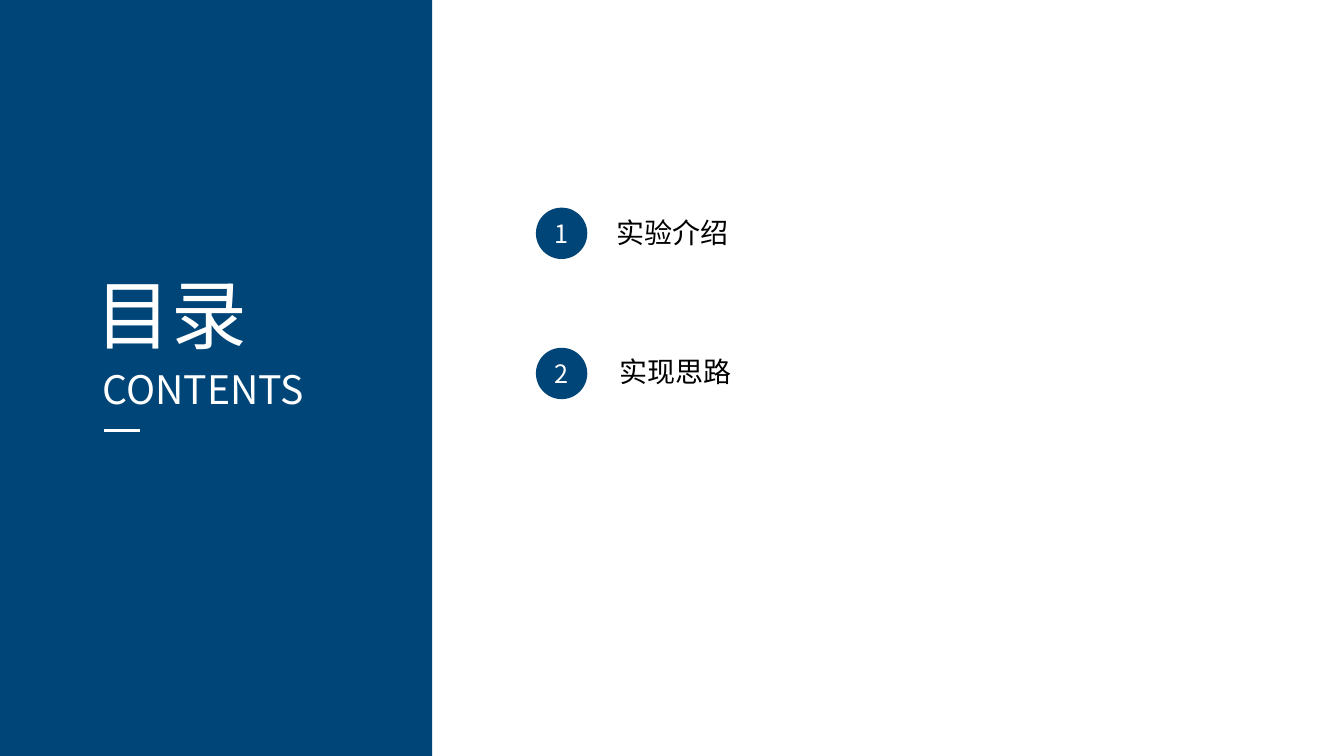
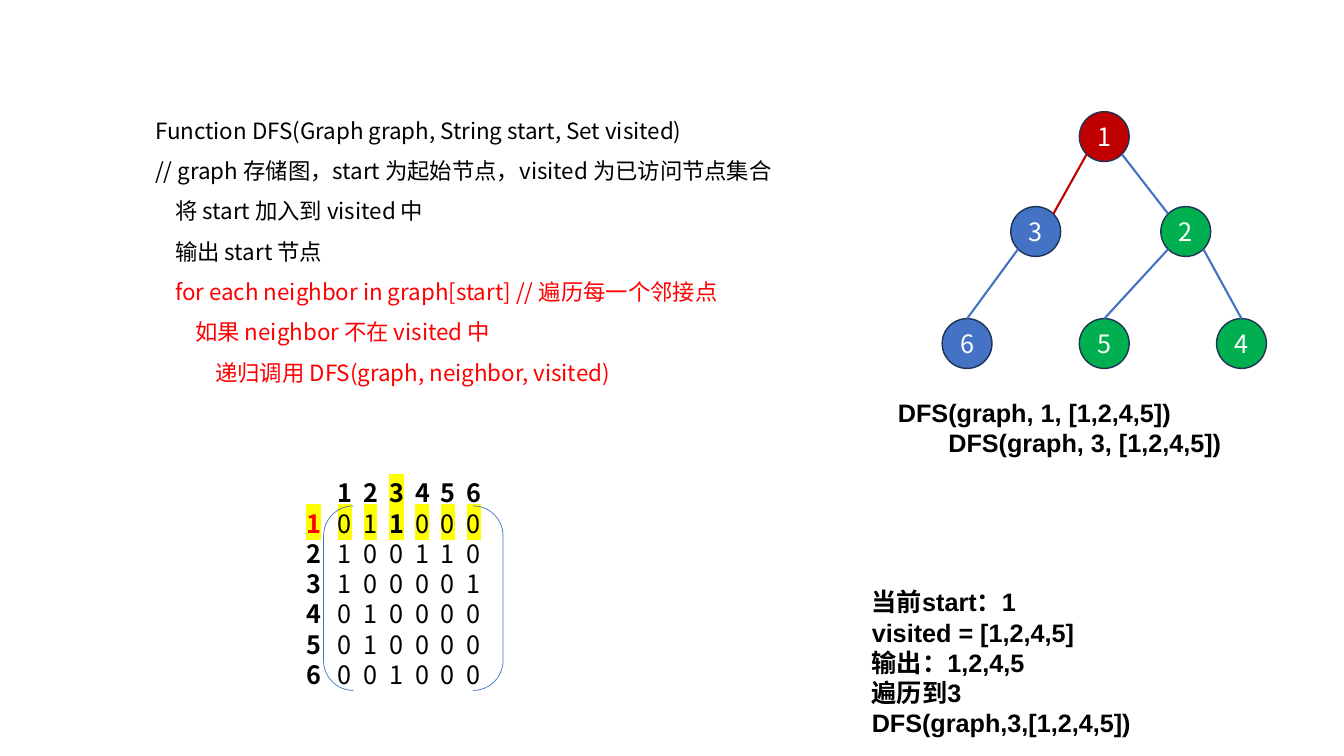
import math

import pptx
import pptx.dml.color
import pptx.enum.dml
import pptx.enum.shapes
import pptx.enum.text
import pptx.oxml
import pptx.oxml.ns
import pptx.util

Pt = pptx.util.Pt
RGBColor = pptx.dml.color.RGBColor
SHAPE = pptx.enum.shapes.MSO_SHAPE
ALIGN = pptx.enum.text.PP_ALIGN
ANCHOR = pptx.enum.text.MSO_ANCHOR
qualified = pptx.oxml.ns.qn

# Shared style
NAVY = RGBColor(0x00, 0x45, 0x78)
WHITE = RGBColor(0xFF, 0xFF, 0xFF)
BLACK = RGBColor(0x00, 0x00, 0x00)
RED = RGBColor(0xFF, 0x00, 0x00)
DARK_RED = RGBColor(0xC0, 0x00, 0x00)
BLUE = RGBColor(0x44, 0x72, 0xC4)
GREEN = RGBColor(0x00, 0xB0, 0x50)
OUTLINE = RGBColor(0x1E, 0x32, 0x56)
YELLOW = RGBColor(0xFF, 0xFF, 0x00)
CJK_FONT = "Noto Sans CJK SC"
LATIN_FONT = "Arial"
LINE_HEIGHT = 1.2

# Contents slide
CONTENTS_TITLE = "目录"
CONTENTS_SUBTITLE = "CONTENTS"
CONTENTS_ITEMS = [  # text, circle top, text left, text top
    ("实验介绍", 148.3, 433.4, 150.5),
    ("实现思路", 248.4, 435.6, 249.5),
]

# Search slide
PSEUDOCODE = [
    ("Function DFS(Graph graph, String start, Set visited)", BLACK),
    ("// graph 存储图，start 为起始节点，visited 为已访问节点集合", BLACK),
    ("    将 start 加入到 visited 中", BLACK),
    ("    输出 start 节点", BLACK),
    ("    for each neighbor in graph[start] // 遍历每一个邻接点", RED),
    ("        如果 neighbor 不在 visited 中", RED),
    ("            递归调用 DFS(graph, neighbor, visited)", RED),
]
STATE = ["当前start：1", "visited = [1,2,4,5]", "输出：1,2,4,5", "遍历到3",
         "DFS(graph,3,[1,2,4,5])"]
CALLS = ["DFS(graph, 1, [1,2,4,5])", "DFS(graph, 3, [1,2,4,5])"]
ADJACENCY = ["011000", "100110", "100001", "010000", "010000", "001000"]
CURRENT_ROW, CURRENT_COLUMN = 1, 3
NODE_SIZE = 35.6
NODES = {  # label: left, top, fill
    "1": (771, 79.8, DARK_RED),
    "3": (722, 147.6, BLUE),
    "2": (829.2, 147.6, GREEN),
    "6": (673, 227.6, BLUE),
    "5": (771, 227.6, GREEN),
    "4": (869, 227.6, GREEN),
}
EDGES = [  # parent, child, side of the parent, side of the child, colour
    ("1", "3", -1, 1, DARK_RED),
    ("1", "2", 1, -1, BLUE),
    ("2", "4", 1, 0, BLUE),
    ("3", "6", -1, 0, BLUE),
    ("2", "5", -1, 0, BLUE),
]


def add_run(paragraph, text, size, color, font=CJK_FONT, bold=False, highlight=None):
    run = paragraph.add_run()
    run.text = text
    values = {"size": Pt(size), "bold": bold, "name": font}
    for name, value in values.items():
        setattr(run.font, name, value)
    run.font.color.rgb = color
    properties = run.font._element
    latin = properties.find(qualified("a:latin"))
    east_asian = pptx.oxml.parse_xml(
        f'<a:ea {pptx.oxml.ns.nsdecls("a")} typeface="{CJK_FONT}"/>')
    latin.addnext(east_asian)
    if highlight is not None:
        latin.addprevious(pptx.oxml.parse_xml(
            f'<a:highlight {pptx.oxml.ns.nsdecls("a")}>'
            f'<a:srgbClr val="{highlight}"/></a:highlight>'))


def format_frame(frame, anchor=ANCHOR.TOP, wrap=True, inset=(7.2, 3.6)):
    values = {
        "word_wrap": wrap, "vertical_anchor": anchor,
        "auto_size": pptx.enum.text.MSO_AUTO_SIZE.NONE,
        "margin_left": Pt(inset[0]), "margin_right": Pt(inset[0]),
        "margin_top": Pt(inset[1]), "margin_bottom": Pt(inset[1]),
    }
    for name, value in values.items():
        setattr(frame, name, value)


def start_paragraph(frame, index, size, spacing=1, align=ALIGN.LEFT):
    paragraph = frame.add_paragraph() if index else frame.paragraphs[0]
    values = {"alignment": align, "space_before": Pt(0),
              "line_spacing": Pt(round(size * LINE_HEIGHT * spacing, 1))}
    for name, value in values.items():
        setattr(paragraph, name, value)
    return paragraph


def place(shape, left, top, width, height):
    values = {"left": left, "top": top, "width": width, "height": height}
    for name, value in values.items():
        setattr(shape, name, Pt(value))


def add_text(slide, box, lines, size, color, **style):
    shape = slide.shapes.add_textbox(*map(Pt, box))
    format_frame(shape.text_frame)
    for index, line in enumerate(lines):
        add_run(start_paragraph(shape.text_frame, index, size), line, size, color, **style)
    return shape


def add_shape(slide, kind, box, fill=None, line=None, line_width=1):
    shape = slide.shapes.add_shape(kind, *map(Pt, box))
    shape.shadow.inherit = False
    if fill is None:
        shape.fill.background()
    else:
        shape.fill.solid()
        shape.fill.fore_color.rgb = fill
    if line is None:
        shape.line.fill.background()
    else:
        shape.line.color.rgb = line
        shape.line.width = Pt(line_width)
    return shape


def add_circle(slide, label, left, top, size, fill, line=None):
    circle = add_shape(slide, SHAPE.OVAL, (left, top, size, size), fill, line)
    format_frame(circle.text_frame, ANCHOR.MIDDLE, False, (0, 0))
    paragraph = start_paragraph(circle.text_frame, 0, 18, align=ALIGN.CENTER)
    add_run(paragraph, label, 18, WHITE)
    return circle


def add_line(slide, start, end, color, width):
    line = slide.shapes.add_connector(
        pptx.enum.shapes.MSO_CONNECTOR.STRAIGHT, *map(Pt, (*start, *end)))
    line.line.color.rgb = color
    line.line.width = Pt(width)
    line._element.spPr.append(pptx.oxml.parse_xml(
        f'<a:effectLst {pptx.oxml.ns.nsdecls("a")}/>'))
    return line


def build_contents(presentation):
    slide = presentation.slides.add_slide(presentation.slide_layouts[5])
    panel = add_shape(slide, SHAPE.RECTANGLE, (0, 0, 308.8, 540), NAVY)
    title = slide.shapes.title
    panel._element.getparent().insert(2, panel._element)  # behind the title
    place(title, 61.2, 188, 160, 73)
    format_frame(title.text_frame)
    add_run(start_paragraph(title.text_frame, 0, 54), CONTENTS_TITLE, 54, WHITE)
    add_text(slide, (66.2, 257.5, 176.4, 41), [CONTENTS_SUBTITLE], 28, WHITE)
    add_line(slide, (74.2, 307.4), (100.1, 307.4), WHITE, 2.25)

    # Numbered items
    for number, (text, circle_top, left, top) in enumerate(CONTENTS_ITEMS, 1):
        add_circle(slide, str(number), 382.8, circle_top, 36.7, NAVY)
        add_text(slide, (left, top, 200, 31.7), [text], 20, BLACK)


def add_matrix(slide):
    frame = slide.shapes.add_textbox(*map(Pt, (211.7, 337.7, 241, 160))).text_frame
    format_frame(frame)
    columns = range(1, len(ADJACENCY[0]) + 1)
    stops = "".join(f'<a:tab pos="{Pt(22.6 + 18.4 * (column - 1))}" algn="l"/>'
                    for column in columns)
    header = "".join(map(str, columns))
    for row, values in enumerate([header, *ADJACENCY]):
        paragraph = start_paragraph(frame, row, 18)
        paragraph._p.get_or_add_pPr().append(pptx.oxml.parse_xml(
            f'<a:tabLst {pptx.oxml.ns.nsdecls("a")}>{stops}</a:tabLst>'))
        current = row == CURRENT_ROW
        row_mark = YELLOW if current else None
        if row:
            add_run(paragraph, str(row), 18, RED if current else BLACK,
                    bold=True, highlight=row_mark)
        for column, value in enumerate(values, 1):
            in_column = column == CURRENT_COLUMN
            mark = YELLOW if row == 0 and in_column else row_mark
            add_run(paragraph, "\t", 18, BLACK, highlight=row_mark)
            add_run(paragraph, value, 18, BLACK, highlight=mark,
                    bold=row == 0 or (current and in_column))
    add_shape(slide, SHAPE.DOUBLE_BRACKET, (231.1, 361.4, 128.2, 131.8),
              line=BLUE, line_width=0.5)


def add_tree(slide):
    circles = {label: add_circle(slide, label, left, top, NODE_SIZE, fill, OUTLINE)
               for label, (left, top, fill) in NODES.items()}
    radius = NODE_SIZE / 2
    diagonal = radius * math.sqrt(0.5)

    def rim_point(label, side, vertical):
        left, top, _ = NODES[label]
        rise = diagonal if side else radius
        return left + radius + side * diagonal, top + radius + vertical * rise

    for parent, child, parent_side, child_side, color in EDGES:
        line = add_line(slide, rim_point(parent, parent_side, 1),
                        rim_point(child, child_side, -1), color, 1.5)
        if child_side == 0:
            line.end_connect(circles[child], 0)


def build_search(presentation):
    slide = presentation.slides.add_slide(presentation.slide_layouts[1])
    title = slide.shapes.title
    title._element.getparent().remove(title._element)

    # Pseudocode
    body = slide.placeholders[1]
    place(body, 103.7, 70.3, 574.6, 211)
    format_frame(body.text_frame)
    for index, (text, color) in enumerate(PSEUDOCODE):
        paragraph = start_paragraph(body.text_frame, index, 16, spacing=1.5)
        properties = paragraph._p.get_or_add_pPr()
        properties.set("marL", "0")
        properties.set("indent", "0")
        properties.append(pptx.oxml.parse_xml(
            f'<a:buNone {pptx.oxml.ns.nsdecls("a")}/>'))
        add_run(paragraph, text, 16, color)

    # Graph, matrix and running state
    add_text(slide, (615.6, 415.6, 337.7, 116.6), STATE, 18, BLACK,
             font=LATIN_FONT, bold=True)
    add_tree(slide)
    add_matrix(slide)
    calls = add_text(slide, (634.3, 280.3, 279.4, 94.3), CALLS, 18, BLACK,
                     font=LATIN_FONT, bold=True)
    nested = calls.text_frame.paragraphs[1]._p.get_or_add_pPr()
    nested.set("indent", str(Pt(36)))


def main():
    presentation = pptx.Presentation()
    presentation.slide_width = Pt(960)
    presentation.slide_height = Pt(540)
    build_contents(presentation)
    build_search(presentation)
    presentation.save("out.pptx")


if __name__ == "__main__":
    main()
